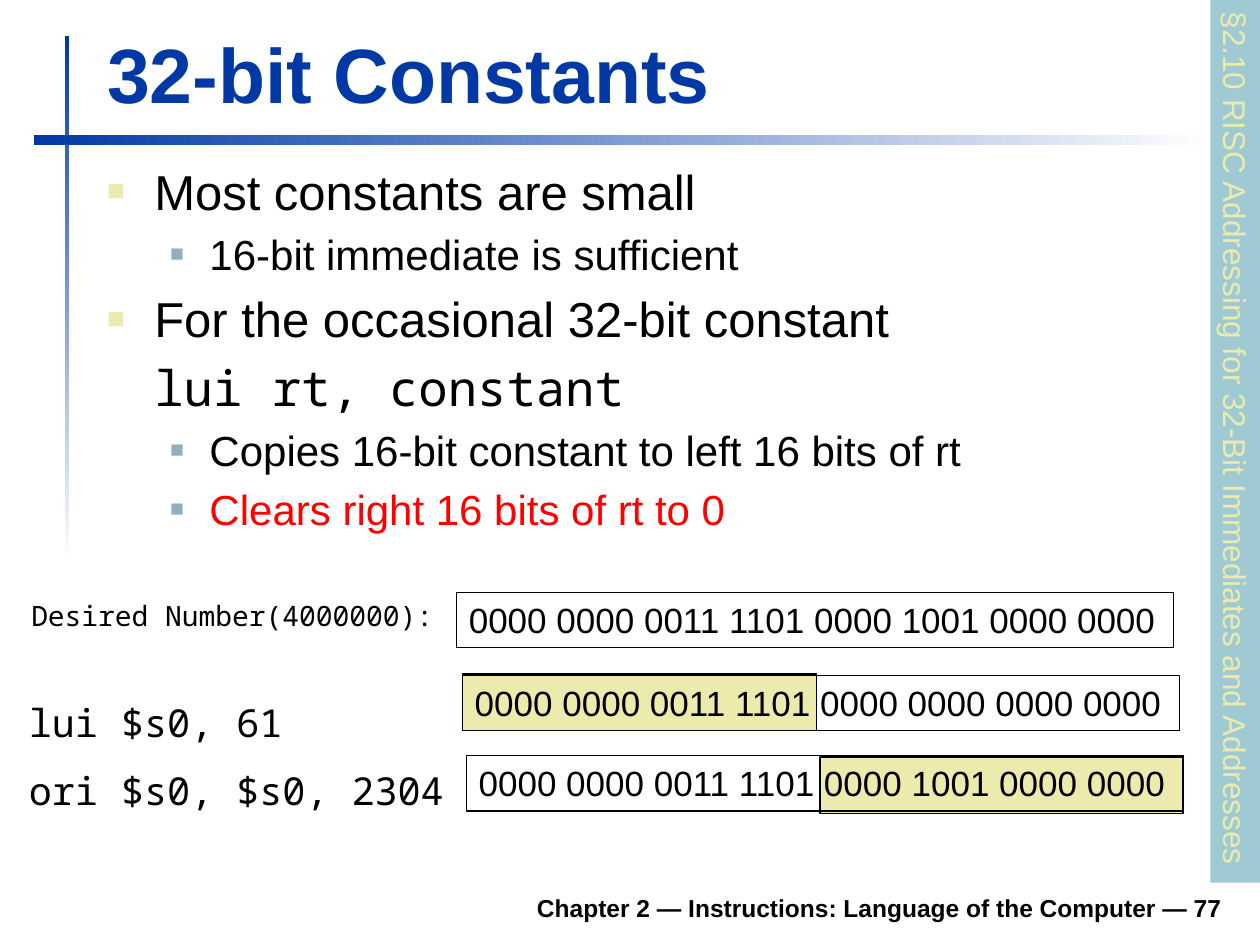
import pptx
import pptx.util
import pptx.dml.color
import pptx.enum.shapes
import pptx.enum.text
import pptx.oxml.ns
from dataclasses import dataclass
from lxml import etree

Pt = pptx.util.Pt
RGB = pptx.dml.color.RGBColor.from_string
ALIGN = pptx.enum.text.PP_ALIGN
ANCHOR = pptx.enum.text.MSO_ANCHOR
AUTO = pptx.enum.text.MSO_AUTO_SIZE
RECT = pptx.enum.shapes.MSO_SHAPE.RECTANGLE


@dataclass(frozen=True)
class Theme:
    sans: str = "Arial"
    mono: str = "Noto Sans Mono"
    blue: str = "0039A6"
    sand: str = "ECEAAC"
    teal: str = "9FCAD3"
    slate: str = "91AFBF"
    red: str = "FF0000"
    black: str = "000000"
    white: str = "FFFFFF"
    title: int = 44
    body: tuple = (28, 24)
    code: int = 22
    bits: int = 20
    side: int = 18
    label: int = 16
    footer: int = 14


T = Theme()
# Per list level: left margin, first-line indent, bullet colour, bullet size %
LEVELS = ((27, -27, T.sand, 60), (58.5, -22.5, T.slate, 55))


def place(sp, box):
    sp.left, sp.top, sp.width, sp.height = map(Pt, box)


def put_text(p, text, size, color=T.black, name=T.sans, bold=False):
    r = p.add_run()
    r.text = text
    r.font.color.rgb = RGB(color)
    for key, value in {"size": Pt(size), "name": name, "bold": bold}.items():
        setattr(r.font, key, value)


def format_frame(tf, **formats):
    for key, value in formats.items():
        setattr(tf, key, value)


def add_rect(s, box, fill=None, line=None):
    sp = s.shapes.add_shape(RECT, *map(Pt, box))
    sp.shadow.inherit = False
    if fill:
        sp.fill.solid()
        sp.fill.fore_color.rgb = RGB(fill)
    else:
        sp.fill.background()
    if line:
        sp.line.color.rgb = RGB(line)
        sp.line.width = Pt(0.75)
    else:
        sp.line.fill.background()
    return sp


def add_fading_bar(s, box, angle):
    sp = add_rect(s, box)
    sp.fill.gradient()
    sp.fill.gradient_angle = angle
    for stop, color, position in zip(sp.fill.gradient_stops, (T.blue, T.white), (0, 1)):
        stop.color.rgb = RGB(color)
        stop.position = position


def add_boxed_text(s, box, text, size, color=T.black, fill=None, line=None):
    sp = add_rect(s, box, fill, line)
    format_frame(sp.text_frame, word_wrap=False, vertical_anchor=ANCHOR.TOP,
                 auto_size=AUTO.SHAPE_TO_FIT_TEXT)
    p = sp.text_frame.paragraphs[0]
    p.alignment = ALIGN.LEFT
    put_text(p, text, size, color)
    return sp


def add_label(s, box, text, size, wrap=False, anchor=ANCHOR.TOP, align=ALIGN.LEFT, **font):
    tf = s.shapes.add_textbox(*map(Pt, box)).text_frame
    format_frame(tf, word_wrap=wrap, vertical_anchor=anchor)
    tf.paragraphs[0].alignment = align
    put_text(tf.paragraphs[0], text, size, **font)


def set_bullet(p, level, shown):
    margin, indent, color, percent = LEVELS[level]
    pPr = p._p.get_or_add_pPr()
    pPr.set("marL", str(Pt(margin)))
    pPr.set("indent", str(Pt(indent if shown else 0)))

    def add(parent, tag, **attrs):
        return etree.SubElement(parent, pptx.oxml.ns.qn("a:" + tag), attrs)

    if shown:
        add(add(pPr, "buClr"), "srgbClr", val=color)
        add(pPr, "buSzPct", val=str(percent * 1000))
        add(pPr, "buFont", typeface=T.sans)
        add(pPr, "buChar", char="■")
    else:
        add(pPr, "buNone")


def fill_title(sp, text):
    place(sp, (54, 11.5, 650, 60))
    format_frame(sp.text_frame, vertical_anchor=ANCHOR.BOTTOM, auto_size=AUTO.NONE)
    p = sp.text_frame.paragraphs[0]
    p.alignment = ALIGN.LEFT
    put_text(p, text, T.title, T.blue, bold=True)


def fill_body(sp, items):
    place(sp, (54, 88.5, 651.5, 227))
    tf = sp.text_frame
    tf.auto_size = AUTO.NONE
    for i, (level, text, font) in enumerate(items):
        p = tf.add_paragraph() if i else tf.paragraphs[0]
        p.level = level
        set_bullet(p, level, shown=font.get("name") != T.mono)
        put_text(p, text, T.body[level], **font)


def main():
    prs = pptx.Presentation()
    prs.slide_width, prs.slide_height = Pt(720), Pt(540)
    s = prs.slides.add_slide(prs.slide_layouts[1])

    # Title and list
    fill_title(s.shapes.title, "32-bit Constants")
    fill_body(s.placeholders[1], [
        (0, "Most constants are small", {}),
        (1, "16-bit immediate is sufficient", {}),
        (0, "For the occasional 32-bit constant", {}),
        (0, "lui rt, constant", {"name": T.mono}),
        (1, "Copies 16-bit constant to left 16 bits of rt", {}),
        (1, "Clears right 16 bits of rt to 0", {"color": T.red}),
    ])

    # Crossed bars and footer
    add_fading_bar(s, (37, 20.5, 2.5, 300), 270)
    add_fading_bar(s, (19.5, 77, 674.5, 6), 0)
    add_label(s, (133, 502.5, 572.5, 28), "Chapter 2 — Instructions: Language of the Computer — 77",
              T.footer, wrap=True, anchor=ANCHOR.BOTTOM, align=ALIGN.RIGHT, bold=True)

    # Section strip on the right edge
    strip = add_boxed_text(s, (453.6, 237.6, 504.8, 28.8),
                           "§2.10 RISC Addressing for 32-Bit Immediates and Addresses",
                           T.side, T.sand, fill=T.teal)
    strip.rotation = 90

    # Highlighted halves, behind the register contents
    for box in ((264.2, 385.2, 202.4, 32.4), (468.6, 432.6, 207.4, 32.4)):
        add_rect(s, box, T.sand, T.black)

    # Register contents
    wanted = "0000 0000 0011 1101 0000 1001 0000 0000"
    after_lui = "0000 0000 0011 1101 0000 0000 0000 0000"
    for x, y, bits in ((260.8, 338.4, wanted), (264.2, 386, after_lui), (266.4, 431.8, wanted)):
        add_boxed_text(s, (x, y, 409.8, 31.6), bits, T.bits, line=T.black)

    # Row labels
    add_label(s, (10.8, 338.4, 249, 26.6), "Desired Number(4000000):", T.label, wrap=True, name=T.mono)
    add_label(s, (9.4, 396, 162, 34), "lui $s0, 61", T.code, name=T.mono)
    add_label(s, (9.4, 434.8, 252.8, 34), "ori $s0, $s0, 2304", T.code, name=T.mono)

    prs.save("out.pptx")


if __name__ == "__main__":
    main()
